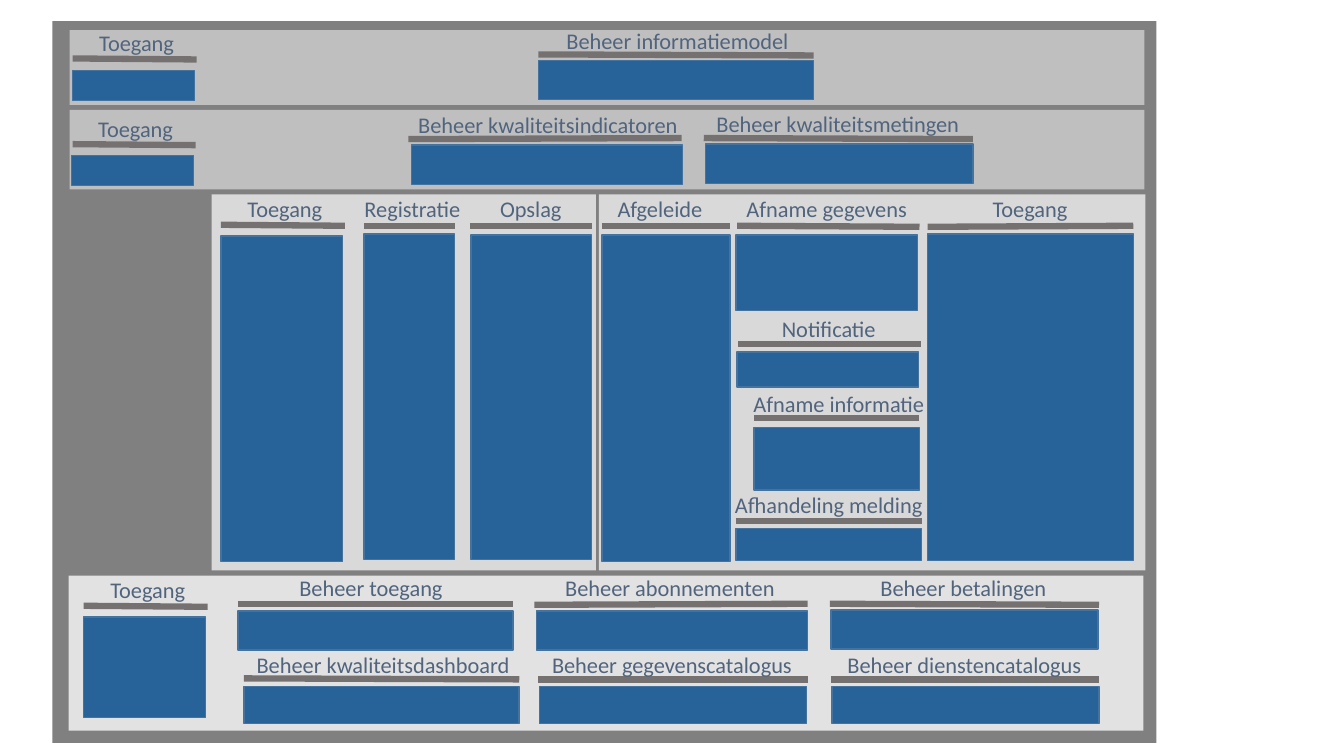
from dataclasses import dataclass
from typing import NamedTuple

from lxml import etree
from pptx import Presentation
from pptx.dml.color import RGBColor
from pptx.enum.shapes import MSO_CONNECTOR, MSO_SHAPE
from pptx.enum.text import MSO_AUTO_SIZE, PP_ALIGN
from pptx.oxml.ns import qn
from pptx.util import Inches, Length, Pt

RECTANGLE = MSO_SHAPE.RECTANGLE
STRAIGHT = MSO_CONNECTOR.STRAIGHT
CENTER = PP_ALIGN.CENTER
FIT_SHAPE = MSO_AUTO_SIZE.SHAPE_TO_FIT_TEXT

# Fine slide grid: 100 columns and 100 rows to the inch
COLUMNS, ROWS = 1333, 750
CELL = Inches(0.01)
TITLE_ROWS = 37


@dataclass(frozen=True)
class Theme:
    font: str = "Calibri"
    title_size: Length = Pt(16)
    title: str = "51647E"
    bar: str = "767171"
    bar_width: Length = Pt(4.5)
    box: str = "276399"
    box_edge: str = "43739E"
    box_edge_width: Length = Pt(1)
    frame: str = "808080"
    management: str = "BFBFBF"
    core: str = "D9D9D9"
    support: str = "E2E2E2"


THEME = Theme()


class Area(NamedTuple):
    column: int
    row: int
    columns: int
    rows: int


class Title(NamedTuple):
    text: str
    column: int
    row: int
    columns: int


class Bar(NamedTuple):
    start: int
    start_row: int
    end: int
    end_row: int


class Panel(NamedTuple):
    area: Area
    fill: str


class Block(NamedTuple):
    title: Title
    bar: Bar
    box: Area


PANELS = [
    Panel(Area(52, 21, 1095, 716), THEME.frame),
    Panel(Area(69, 30, 1066, 74), THEME.management),
    Panel(Area(69, 109, 1066, 79), THEME.management),
    Panel(Area(210, 193, 381, 373), THEME.core),
    Panel(Area(594, 193, 542, 373), THEME.core),
    Panel(Area(68, 571, 1066, 154), THEME.support),
]

BLOCKS = [
    # Information model
    Block(Title("Toegang", 88, 24, 95), Bar(72, 58, 195, 59), Area(72, 70, 121, 30)),
    Block(Title("Beheer informatiemodel", 550, 22, 244),
          Bar(534, 54, 807, 55), Area(534, 60, 273, 39)),
    # Quality
    Block(Title("Toegang", 87, 109, 95), Bar(72, 143, 194, 144), Area(71, 154, 121, 30)),
    Block(Title("Beheer kwaliteitsindicatoren", 403, 105, 281),
          Bar(405, 138, 676, 137), Area(408, 144, 269, 39)),
    Block(Title("Beheer kwaliteitsmetingen", 699, 104, 264),
          Bar(698, 137, 965, 138), Area(700, 143, 265, 39)),
    # Registration and storage
    Block(Title("Toegang", 235, 189, 95), Bar(219, 223, 342, 224), Area(219, 234, 121, 323)),
    Block(Title("Registratie", 350, 189, 118), Bar(361, 224, 451, 224), Area(361, 232, 90, 323)),
    Block(Title("Opslag", 453, 189, 147), Bar(466, 224, 587, 224), Area(467, 233, 120, 322)),
    # Derived data and delivery
    Block(Title("Afgeleide", 587, 189, 135), Bar(597, 224, 724, 224), Area(597, 233, 127, 324)),
    Block(Title("Afname gegevens", 727, 189, 186),
          Bar(731, 224, 912, 225), Area(730, 233, 180, 75)),
    Block(Title("Notificatie", 729, 308, 186), Bar(732, 341, 913, 341), Area(731, 349, 180, 35)),
    Block(Title("Afname informatie", 736, 382, 192),
          Bar(748, 415, 912, 415), Area(748, 424, 164, 62)),
    Block(Title("Afhandeling melding", 714, 482, 216),
          Bar(730, 517, 914, 517), Area(730, 524, 184, 32)),
    Block(Title("Toegang", 974, 189, 95), Bar(920, 225, 1124, 224), Area(920, 232, 204, 324)),
    # Supporting services
    Block(Title("Toegang", 99, 567, 95), Bar(83, 601, 206, 602), Area(83, 612, 121, 100)),
    Block(Title("Beheer toegang", 286, 565, 164),
          Bar(236, 599, 509, 599), Area(236, 606, 273, 39)),
    Block(Title("Beheer abonnementen", 549, 565, 231),
          Bar(530, 600, 801, 599), Area(532, 606, 269, 39)),
    Block(Title("Beheer betalingen", 862, 565, 187),
          Bar(823, 599, 1090, 600), Area(824, 605, 265, 39)),
    Block(Title("Beheer kwaliteitsdashboard", 243, 641, 274),
          Bar(242, 673, 515, 674), Area(242, 681, 273, 37)),
    Block(Title("Beheer gegevenscatalogus", 536, 641, 261),
          Bar(534, 674, 801, 674), Area(535, 681, 265, 37)),
    Block(Title("Beheer dienstencatalogus", 829, 641, 255),
          Bar(824, 674, 1090, 674), Area(825, 681, 265, 37)),
]


def cells(*counts: int) -> list[int]:
    return [count * CELL for count in counts]


def color(code: str) -> RGBColor:
    return RGBColor.from_string(code)


def draw_rectangle(page, area: Area, fill: str, edge: str | None = None) -> None:
    shape = page.shapes.add_shape(RECTANGLE, *cells(*area))
    shape.shadow.inherit = False
    shape.fill.solid()
    shape.fill.fore_color.rgb = color(fill)
    if edge is None:
        shape.line.fill.background()
    else:
        shape.line.color.rgb = color(edge)
        shape.line.width = THEME.box_edge_width


def draw_bar(page, bar: Bar) -> None:
    line = page.shapes.add_connector(STRAIGHT, *cells(*bar))
    line.line.color.rgb = color(THEME.bar)
    line.line.width = THEME.bar_width
    etree.SubElement(line._element.spPr, qn("a:effectLst"))


def draw_title(page, title: Title) -> None:
    box = page.shapes.add_textbox(*cells(title.column, title.row, title.columns, TITLE_ROWS))
    frame = box.text_frame
    frame.word_wrap = False
    frame.auto_size = FIT_SHAPE
    para = frame.paragraphs[0]
    para.text = title.text
    para.alignment = CENTER
    para.font.name = THEME.font
    para.font.size = THEME.title_size
    para.font.color.rgb = color(THEME.title)


def draw_block(page, block: Block) -> None:
    draw_rectangle(page, block.box, THEME.box, THEME.box_edge)
    draw_bar(page, block.bar)
    draw_title(page, block.title)


def main() -> None:
    deck = Presentation()
    deck.slide_width, deck.slide_height = cells(COLUMNS, ROWS)
    page = deck.slides.add_slide(deck.slide_layouts[6])
    for panel in PANELS:
        draw_rectangle(page, panel.area, panel.fill)
    for block in BLOCKS:
        draw_block(page, block)
    deck.save("out.pptx")


if __name__ == "__main__":
    main()
